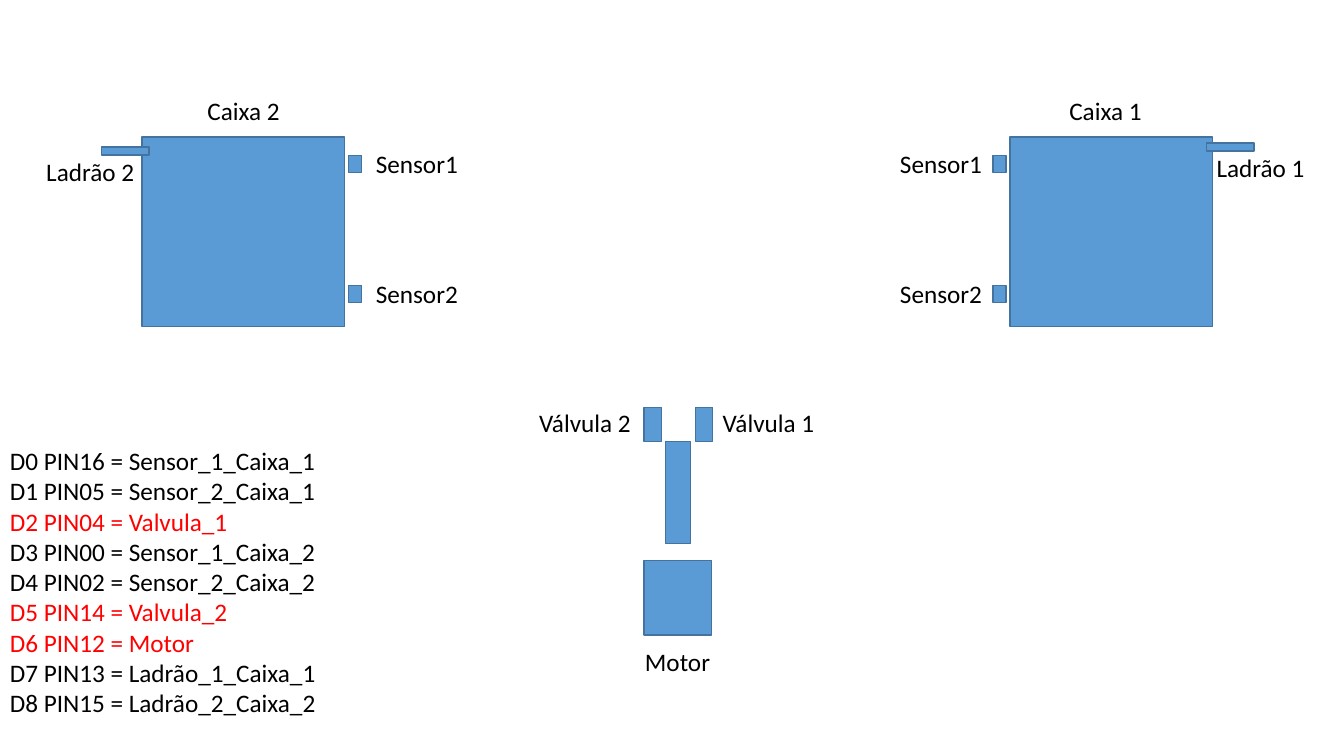
from pptx import Presentation
from pptx.dml.color import RGBColor
from pptx.enum.shapes import MSO_SHAPE
from pptx.enum.text import MSO_AUTO_SIZE
from pptx.util import Inches, Pt

CELL = Inches(0.1)
COLUMNS, ROWS = 133.33, 75
LABEL_ROWS = 4
BLACK, RED = "000000", "FF0000"
FILL, OUTLINE = "5B9BD5", "43739E"

PINS = [
    ("D0 PIN16 = Sensor_1_Caixa_1", BLACK),
    ("D1 PIN05 = Sensor_2_Caixa_1", BLACK),
    ("D2 PIN04 = Valvula_1", RED),
    ("D3 PIN00 = Sensor_1_Caixa_2", BLACK),
    ("D4 PIN02 = Sensor_2_Caixa_2", BLACK),
    ("D5 PIN14 = Valvula_2", RED),
    ("D6 PIN12 = Motor", RED),
    ("D7 PIN13 = Ladrão_1_Caixa_1", BLACK),
    ("D8 PIN15 = Ladrão_2_Caixa_2", BLACK),
]


def cells(*counts):
    """Turn counts of grid cells into lengths."""
    return [round(count * CELL) for count in counts]


def color(hex_string):
    """Turn a hex string into a colour."""
    return RGBColor.from_string(hex_string)


def add_block(slide, column, row, width, height):
    """Draw one blue rectangle on the grid."""
    block = slide.shapes.add_shape(
        MSO_SHAPE.RECTANGLE, *cells(column, row, width, height))
    block.shadow.inherit = False
    block.fill.solid()
    block.fill.fore_color.rgb = color(FILL)
    block.line.color.rgb = color(OUTLINE)
    block.line.width = Pt(1)


def add_lines(slide, lines, column, row, width, height=LABEL_ROWS):
    """Write coloured lines of text, one paragraph each."""
    box = slide.shapes.add_textbox(*cells(column, row, width, height))
    frame = box.text_frame
    frame.word_wrap = False
    frame.auto_size = MSO_AUTO_SIZE.SHAPE_TO_FIT_TEXT
    for index, (text, hex_string) in enumerate(lines):
        paragraph = frame.add_paragraph() if index else frame.paragraphs[0]
        run = paragraph.add_run()
        run.text = text
        run.font.name = "Calibri"
        run.font.size = Pt(18)
        run.font.color.rgb = color(hex_string)


def add_label(slide, text, column, row, width):
    """Write one black label."""
    add_lines(slide, [(text, BLACK)], column, row, width)


def add_tank(slide, number, tank, title, sensor, sensor_label,
             overflow, overflow_label, overflow_row):
    """Draw a tank with its two sensors and overflow, given their columns."""
    add_block(slide, tank, 13.6, 20.1, 18.8)
    add_label(slide, f"Caixa {number}", title, 9, 9.3)
    for index, row in enumerate((15.4, 28.3), start=1):
        add_block(slide, sensor, row, 1.3, 1.7)
        add_label(slide, f"Sensor{index}", sensor_label, row - 1.2, 10.2)
    add_block(slide, overflow, overflow_row, 4.7, 0.8)
    add_label(slide, f"Ladrão {number}", overflow_label,
              overflow_row + 0.45, 10.9)


def add_pump(slide):
    """Draw the motor, its pipe and the two valves."""
    add_block(slide, 63.9, 55.6, 6.7, 7.4)
    add_label(slide, "Motor", 63, 63.6, 8.5)
    add_block(slide, 66, 43.8, 2.5, 10.1)
    for number, valve, label in ((1, 69, 70.7), (2, 63.9, 52.5)):
        add_block(slide, valve, 40.4, 1.7, 3.4)
        add_label(slide, f"Válvula {number}", label, 39.9, 11.2)


def main():
    """Build the slide and save it."""
    presentation = Presentation()
    presentation.slide_width, presentation.slide_height = cells(COLUMNS, ROWS)
    slide = presentation.slides.add_slide(presentation.slide_layouts[6])
    add_tank(slide, 2, tank=14.1, title=19.6, sensor=34.6, sensor_label=36.3,
             overflow=10.1, overflow_label=3.6, overflow_row=14.6)
    add_tank(slide, 1, tank=100.2, title=105.1, sensor=98.5, sensor_label=88.3,
             overflow=119.7, overflow_label=119.7, overflow_row=14.2)
    add_pump(slide)
    add_lines(slide, PINS, 0, 43.7, 32.7, 31.3)
    presentation.save("out.pptx")


if __name__ == "__main__":
    main()
